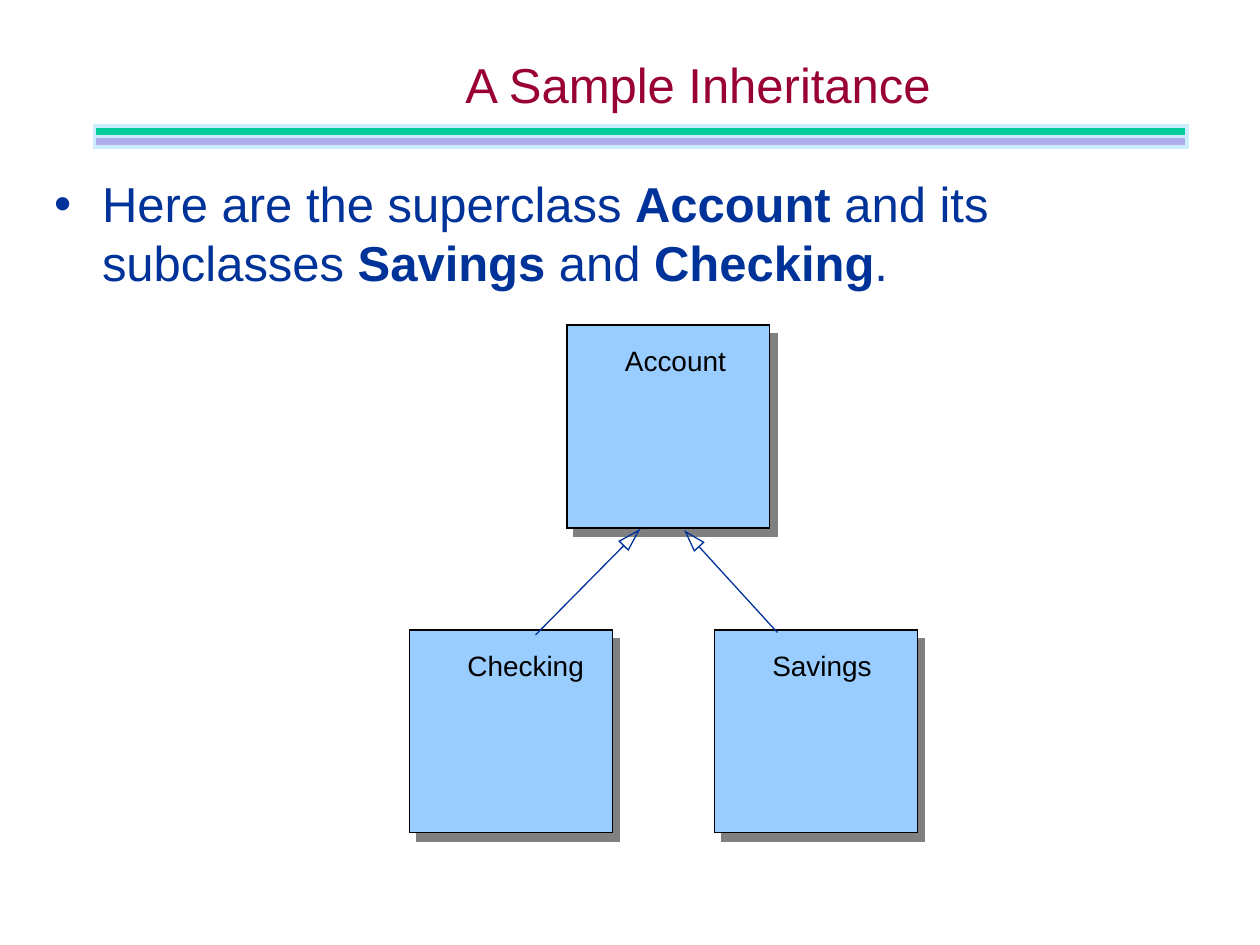
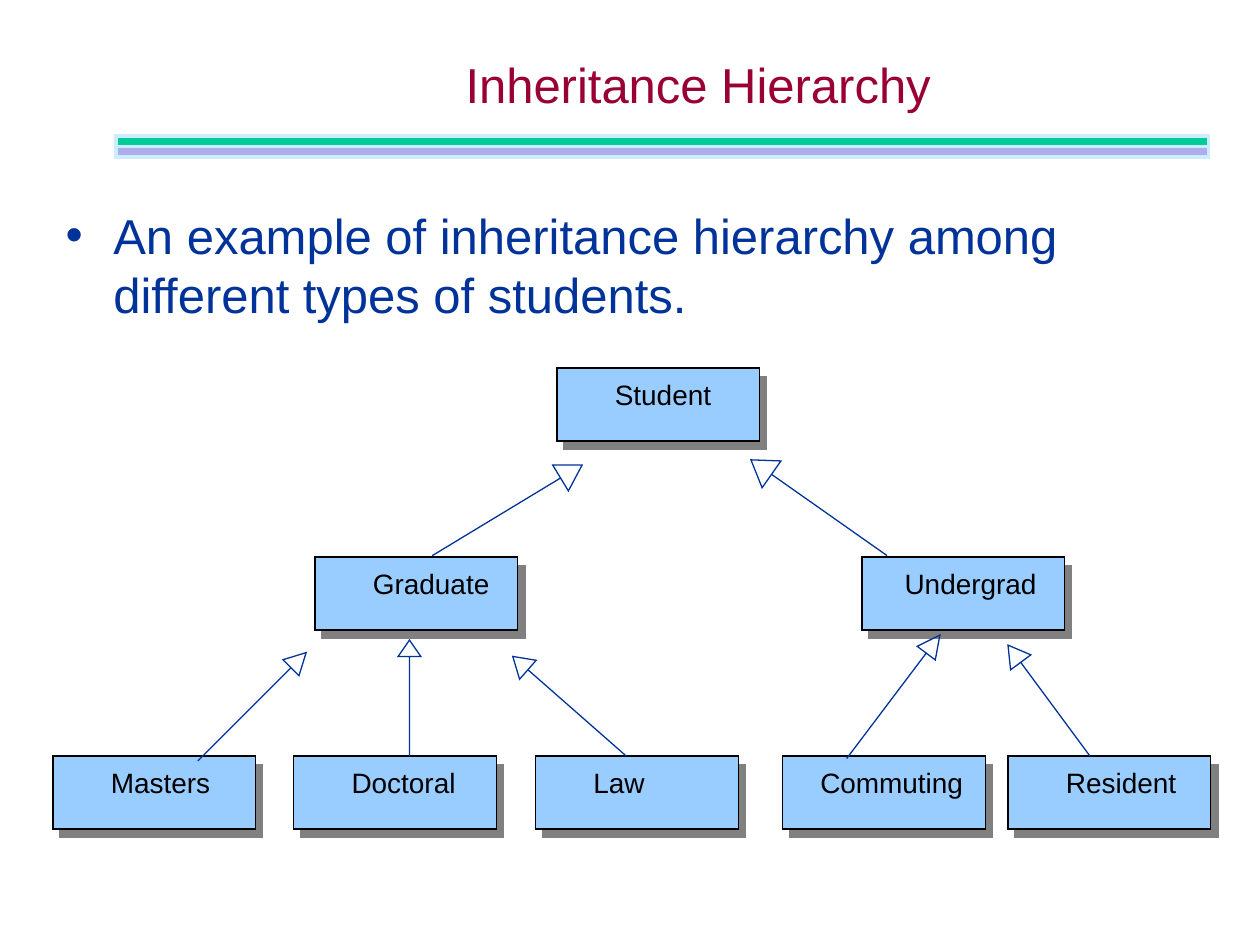
"""Build two slides on class inheritance: an account example and a student hierarchy."""
from math import hypot

from lxml import etree
from pptx import Presentation
from pptx.dml.color import RGBColor
from pptx.enum.shapes import MSO_SHAPE
from pptx.enum.text import MSO_ANCHOR, MSO_AUTO_SIZE, PP_ALIGN
from pptx.oxml.ns import qn
from pptx.util import Inches, Pt

RECT, ROUNDED = MSO_SHAPE.RECTANGLE, MSO_SHAPE.ROUNDED_RECTANGLE
TOP, MIDDLE = MSO_ANCHOR.TOP, MSO_ANCHOR.MIDDLE
LEFT, CENTER = PP_ALIGN.LEFT, PP_ALIGN.CENTER
NO_FIT = MSO_AUTO_SIZE.NONE

NAVY, MAROON, BLACK = "003399", "990033", "000000"
CLASS_FILL, CLASS_SHADOW = "99CCFF", "808080"
BAND_EDGE, BAND_FILLS = "CCECFF", ("00CC99", "ADADEB")

TITLE_AREA = (1.5, 0.25, 8.08, 0.83)
BODY_SIZE = (9.33, 1.17)
BAND_WIDTH, BAND_HEIGHT = 8.67, 1 / 12
CLASS_WIDTH, LABEL_HEIGHT = 1.61, 0.37
BULLET_INDENT = 0.38

TITLE_FONT = {"name": "Arial", "size": Pt(28), "bold": False}
LABEL_FONT = {"name": "Arial", "size": Pt(16)}
TITLE_FRAME = {"vertical_anchor": MIDDLE, "auto_size": NO_FIT, "word_wrap": True}
BODY_FRAME = {**TITLE_FRAME, "vertical_anchor": TOP}
LABEL_FRAME = {"word_wrap": True, "auto_size": NO_FIT,
               "margin_left": Inches(0.22), "margin_right": 0,
               "margin_top": Inches(0.05), "margin_bottom": Inches(0.05)}
BODY_PARAGRAPH = {"alignment": LEFT, "space_before": Pt(0), "line_spacing": 1.0}

SLIDES = [
    {
        "title": "A Sample Inheritance",
        "body_at": (0.33, 1.33),
        "body": [("Here are the superclass ", False), ("Account", True),
                 (" and its subclasses ", False), ("Savings ", True),
                 ("and ", False), ("Checking", True), (".", False)],
        "bands_at": (0.75, 1),
        "class_height": 1.61,
        "label_drop": 0.1,
        "classes": [("Account", 4.5, 2.58, 0.24, 1.12),
                    ("Checking", 3.25, 5, 0.24, 1.24),
                    ("Savings", 5.67, 5, 0.24, 1.11)],
        "arrows": [((4.25, 5.04), (5.07, 4.21), 0.17, 0.05),
                   ((6.17, 5.02), (5.44, 4.22), 0.16, 0.05)],
    },
    {
        "title": "Inheritance Hierarchy",
        "body_at": (0.42, 1.58),
        "body": [("An example of inheritance hierarchy among "
                  "different types of students.", False)],
        "bands_at": (0.92, 1.08),
        "class_height": 0.58,
        "label_drop": 0.03,
        "classes": [("Student", 4.42, 2.92, 0.24, 1.09),
                    ("Graduate", 2.5, 4.42, 0.24, 1.24),
                    ("Undergrad", 6.84, 4.42, 0.12, 1.37),
                    ("Masters", 0.42, 6, 0.24, 1.11),
                    ("Doctoral", 2.33, 6, 0.24, 1.15),
                    ("Law", 4.25, 6, 0.24, 0.73),
                    ("Commuting", 6.21, 6, 0.08, 1.45),
                    ("Resident", 8, 6, 0.24, 1.2)],
        "arrows": [((3.43, 4.41), (4.62, 3.69), 0.2, 0.12),
                   ((7.04, 4.41), (5.96, 3.65), 0.2, 0.13),
                   ((1.57, 6.04), (2.43, 5.18), 0.17, 0.09),
                   ((3.25, 6), (3.25, 5.08), 0.13, 0.09),
                   ((4.97, 6), (4.07, 5.21), 0.16, 0.1),
                   ((6.72, 6.02), (7.46, 5.04), 0.18, 0.09),
                   ((8.65, 6), (8, 5.12), 0.17, 0.1)],
    },
]


def color(code):
    return RGBColor.from_string(code)


def apply(target, values):
    for name, value in values.items():
        setattr(target, name, value)


def inches(*lengths):
    return [Inches(length) for length in lengths]


def place(placeholder, area):
    apply(placeholder, dict(zip(("left", "top", "width", "height"), inches(*area))))


def write(paragraph, text, font, code):
    run = paragraph.add_run()
    run.text = text
    apply(run.font, font)
    run.font.color.rgb = color(code)


def outline(shape, code, width):
    shape.shadow.inherit = False
    shape.line.color.rgb = color(code)
    shape.line.width = Pt(width)
    etree.SubElement(shape._element.spPr.find(qn("a:ln")), qn("a:miter"), lim="800000")


def add_box(slide, preset, area, fill, edge, edge_width):
    box = slide.shapes.add_shape(preset, *inches(*area))
    box.fill.solid()
    box.fill.fore_color.rgb = color(fill)
    outline(box, edge, edge_width)
    return box


def cast_shadow(box):
    effects = box._element.spPr.find(qn("a:effectLst"))
    shadow = etree.SubElement(effects, qn("a:outerShdw"), dist=str(Pt(6.4)),
                              dir=str(51 * 60000), algn="ctr", rotWithShape="0")
    etree.SubElement(shadow, qn("a:srgbClr"), val=CLASS_SHADOW)


def add_title(slide, text):
    title = slide.shapes.title
    place(title, TITLE_AREA)
    apply(title.text_frame, TITLE_FRAME)
    paragraph = title.text_frame.paragraphs[0]
    paragraph.alignment = CENTER
    write(paragraph, text, TITLE_FONT, MAROON)


def add_body(slide, position, phrases):
    body = slide.placeholders[1]
    place(body, position + BODY_SIZE)
    apply(body.text_frame, BODY_FRAME)
    paragraph = body.text_frame.paragraphs[0]
    apply(paragraph, BODY_PARAGRAPH)
    properties = paragraph._p.get_or_add_pPr()
    properties.set("marL", str(Inches(BULLET_INDENT)))
    properties.set("indent", str(-Inches(BULLET_INDENT)))
    bullet_color = etree.SubElement(properties, qn("a:buClr"))
    etree.SubElement(bullet_color, qn("a:srgbClr"), val=NAVY)
    etree.SubElement(properties, qn("a:buChar"), char="•")
    for text, bold in phrases:
        write(paragraph, text, {**TITLE_FONT, "bold": bold}, NAVY)


def add_class(slide, name, left, top, offset, label_width, height, drop):
    box = add_box(slide, ROUNDED, (left, top, CLASS_WIDTH, height), CLASS_FILL, BLACK, 0.75)
    box.adjustments[0] = 0
    cast_shadow(box)
    label = slide.shapes.add_textbox(
        *inches(left + offset, top + drop, label_width, LABEL_HEIGHT))
    apply(label.text_frame, LABEL_FRAME)
    write(label.text_frame.paragraphs[0], name, LABEL_FONT, BLACK)


def add_arrow(slide, tail, tip, head, half):
    length = hypot(tip[0] - tail[0], tip[1] - tail[1])
    ux, uy = (tip[0] - tail[0]) / length, (tip[1] - tail[1]) / length
    base = (tip[0] - head * ux, tip[1] - head * uy)
    corners = [(base[0] + side * uy, base[1] - side * ux) for side in (half, -half)]
    route = [base, corners[0], tip, corners[1], base]
    builder = slide.shapes.build_freeform(*inches(*tail))
    builder.add_line_segments([inches(*point) for point in route], close=False)
    arrow = builder.convert_to_shape()
    arrow.fill.background()
    outline(arrow, NAVY, 0.75)


def add_bands(slide, left, top):
    for row, fill in enumerate(BAND_FILLS):
        area = (left, top + row * BAND_HEIGHT, BAND_WIDTH, BAND_HEIGHT)
        add_box(slide, RECT, area, fill, BAND_EDGE, 2)


def main():
    deck = Presentation()
    deck.slide_width, deck.slide_height = inches(10, 7.5)
    for content in SLIDES:
        slide = deck.slides.add_slide(deck.slide_layouts[1])
        add_title(slide, content["title"])
        add_body(slide, content["body_at"], content["body"])
        for entry in content["classes"]:
            add_class(slide, *entry, content["class_height"], content["label_drop"])
        for arrow in content["arrows"]:
            add_arrow(slide, *arrow)
        add_bands(slide, *content["bands_at"])
    deck.save("out.pptx")


if __name__ == "__main__":
    main()
